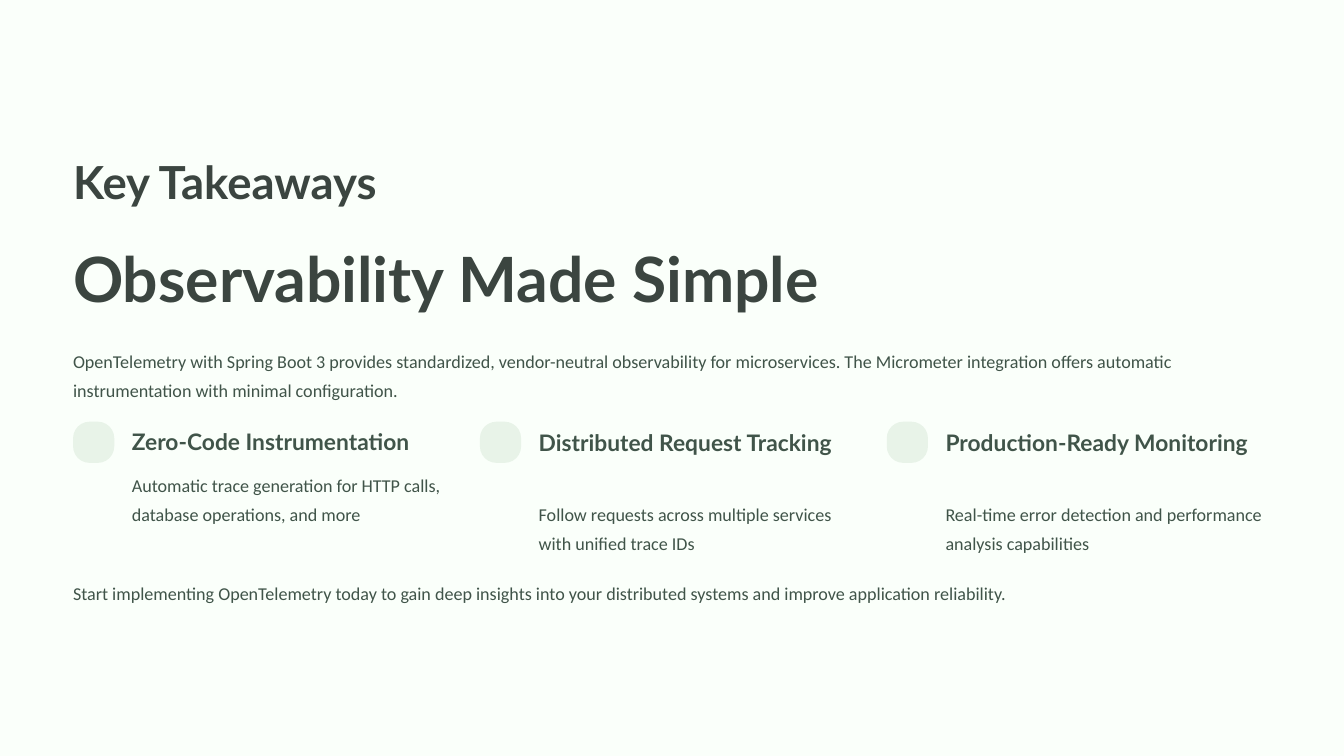
import pptx
import pptx.dml.color
import pptx.enum.shapes
import pptx.enum.text
import pptx.util
from pptx.util import Inches

RGBColor = pptx.dml.color.RGBColor
BACKGROUND = RGBColor(0xFA, 0xFF, 0xFA)
HEADLINE = RGBColor(0x3B, 0x45, 0x40)
BODY = RGBColor(0x40, 0x54, 0x49)
BADGE = RGBColor(0xE8, 0xF3, 0xE8)

TITLE_STYLE = {"name": "Lato", "size": 39, "bold": True, "color": HEADLINE, "leading": 48.5}
HEADLINE_STYLE = {**TITLE_STYLE, "size": 53.5, "leading": 67}
HEADING_STYLE = {"name": "Lato", "size": 19.5, "bold": True, "color": BODY, "leading": 24}
BODY_STYLE = {"name": "Calibri", "size": 15.5, "bold": False, "color": BODY, "leading": 25}

LEFT = 0.87
CONTENT_WIDTH = 14.26
COLUMN_GAP = 0.27
COLUMN_STEP = (CONTENT_WIDTH + COLUMN_GAP) / 3
BADGE_TOP = 5.02
BADGE_SIZE = 0.49
TEXT_INDENT = 0.7
TEXT_WIDTH = 3.87
HEADING_TOP = 5.09
HEADING_LINE = 0.34
HEADING_GAP = 0.13

TAKEAWAYS = [
    ("Zero-Code Instrumentation", 1,
     "Automatic trace generation for HTTP calls, database operations, and more"),
    ("Distributed Request Tracking", 2,
     "Follow requests across multiple services with unified trace IDs"),
    ("Production-Ready Monitoring", 2,
     "Real-time error detection and performance analysis capabilities"),
]


def write_text(holder, wording, style, wrap=True):
    frame = holder.text_frame
    frame.text = wording
    frame_format = {
        "margin_left": 0,
        "margin_top": 0,
        "margin_right": 0,
        "margin_bottom": 0,
        "word_wrap": wrap,
        "auto_size": pptx.enum.text.MSO_AUTO_SIZE.NONE,
        "vertical_anchor": pptx.enum.text.MSO_ANCHOR.TOP,
    }
    for attribute, setting in frame_format.items():
        setattr(frame, attribute, setting)
    paragraph = frame.paragraphs[0]
    paragraph.alignment = pptx.enum.text.PP_ALIGN.LEFT
    paragraph.line_spacing = pptx.util.Pt(style["leading"])
    font_format = {
        "name": style["name"],
        "size": pptx.util.Pt(style["size"]),
        "bold": style["bold"],
    }
    font = paragraph.runs[0].font
    for attribute, setting in font_format.items():
        setattr(font, attribute, setting)
    font.color.rgb = style["color"]


def add_title(slide, wording, left, top, width, height):
    title = slide.shapes.title
    place = {"left": left, "top": top, "width": width, "height": height}
    for attribute, length in place.items():
        setattr(title, attribute, Inches(length))
    write_text(title, wording, TITLE_STYLE, wrap=False)


def add_text(slide, wording, left, top, width, height, style, wrap=True):
    holder = slide.shapes.add_textbox(
        Inches(left), Inches(top), Inches(width), Inches(height))
    write_text(holder, wording, style, wrap)


def add_badge(slide, left):
    badge = slide.shapes.add_shape(
        pptx.enum.shapes.MSO_SHAPE.ROUNDED_RECTANGLE,
        Inches(left), Inches(BADGE_TOP), Inches(BADGE_SIZE), Inches(BADGE_SIZE))
    badge.adjustments[0] = 0.4
    badge.shadow.inherit = False
    badge.fill.solid()
    badge.fill.fore_color.rgb = BADGE
    badge.line.fill.background()


def add_takeaway(slide, left, heading, heading_lines, description):
    heading_height = HEADING_LINE * heading_lines
    description_top = HEADING_TOP + heading_height + HEADING_GAP
    text_left = left + TEXT_INDENT
    add_badge(slide, left)
    add_text(slide, heading, text_left, HEADING_TOP, TEXT_WIDTH, heading_height, HEADING_STYLE)
    add_text(slide, description, text_left, description_top, TEXT_WIDTH, 0.69, BODY_STYLE)


def main():
    deck = pptx.Presentation()
    deck.slide_width = Inches(16)
    deck.slide_height = Inches(9)
    slide = deck.slides.add_slide(deck.slide_layouts.get_by_name("Title Only"))
    slide.background.fill.solid()
    slide.background.fill.fore_color.rgb = BACKGROUND

    add_title(slide, "Key Takeaways", LEFT, 1.81, 5.43, 0.68)
    add_text(slide, "Observability Made Simple", LEFT, 2.82, 10.16, 0.94,
             HEADLINE_STYLE, wrap=False)
    add_text(slide,
             "OpenTelemetry with Spring Boot 3 provides standardized, vendor-neutral "
             "observability for microservices. The Micrometer integration offers "
             "automatic instrumentation with minimal configuration.",
             LEFT, 4.08, CONTENT_WIDTH, 0.69, BODY_STYLE)
    for column, takeaway in enumerate(TAKEAWAYS):
        add_takeaway(slide, LEFT + column * COLUMN_STEP, *takeaway)
    add_text(slide,
             "Start implementing OpenTelemetry today to gain deep insights into your "
             "distributed systems and improve application reliability.",
             LEFT, 6.84, CONTENT_WIDTH, 0.35, BODY_STYLE, wrap=False)

    deck.save("out.pptx")


if __name__ == "__main__":
    main()
